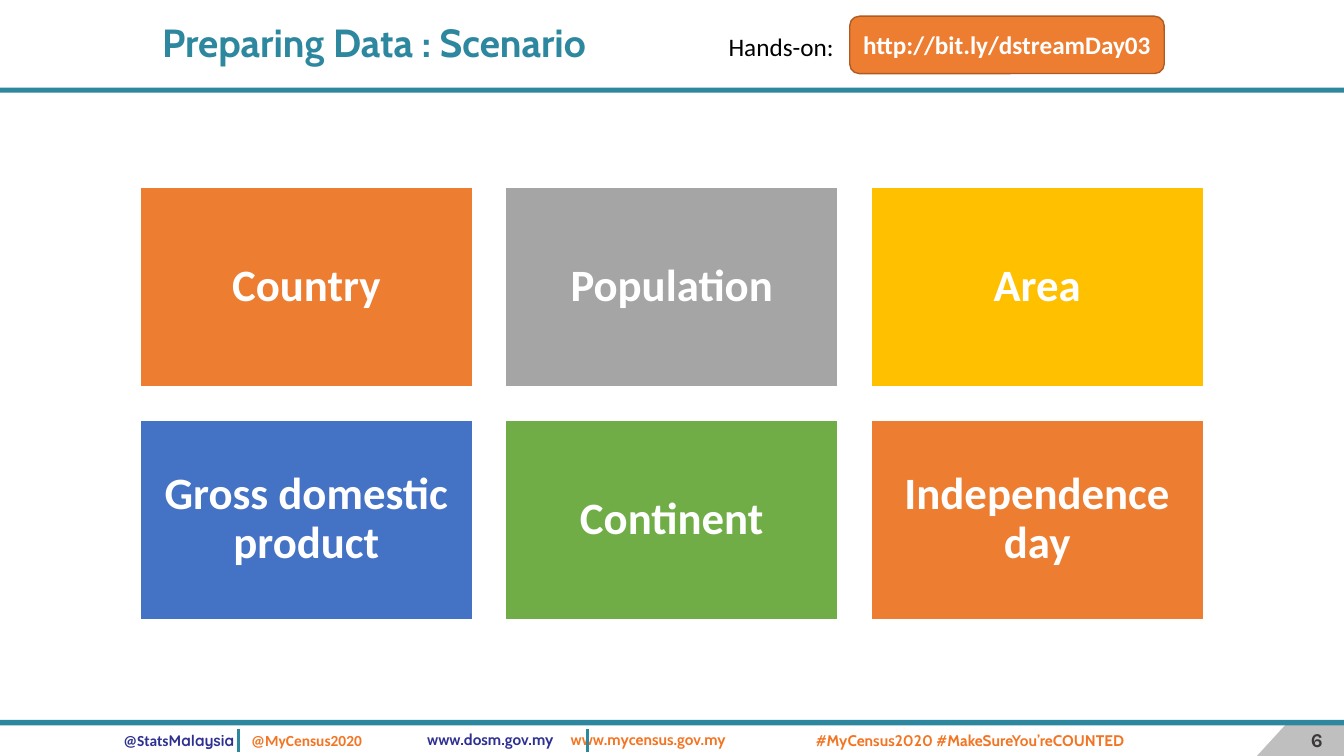
from dataclasses import dataclass
from typing import Any, NamedTuple

from lxml import etree
from pptx import Presentation
from pptx.dml.color import RGBColor
from pptx.enum.shapes import MSO_CONNECTOR, MSO_SHAPE
from pptx.enum.text import MSO_ANCHOR, PP_ALIGN
from pptx.oxml.ns import qn
from pptx.util import Pt

RECT = MSO_SHAPE.RECTANGLE
ROUNDED = MSO_SHAPE.ROUNDED_RECTANGLE
STRAIGHT = MSO_CONNECTOR.STRAIGHT
TOP, MIDDLE = MSO_ANCHOR.TOP, MSO_ANCHOR.MIDDLE
LEFT, CENTER = PP_ALIGN.LEFT, PP_ALIGN.CENTER


@dataclass(frozen=True)
class Theme:
    teal: str = "2D879E"
    navy: str = "2E3192"
    tag: str = "F37523"
    orange: str = "ED7D31"
    rust: str = "AF5C24"
    grey: str = "A5A5A5"
    gold: str = "FFC000"
    blue: str = "4472C4"
    green: str = "70AD47"
    corner: str = "C0BFBF"
    ink: str = "3B3838"
    black: str = "000000"
    white: str = "FFFFFF"
    body: str = "Calibri"
    heading: str = "Cabin"
    rounded: str = "Quicksand"
    number: str = "Karla"
    title_size: float = 28
    card_size: float = 32
    label_size: float = 18
    footer_size: float = 11
    number_size: float = 14


class Box(NamedTuple):
    x: float
    y: float
    w: float
    h: float


class Span(NamedTuple):
    text: str
    font: str
    color: str


class Card(NamedTuple):
    text: str
    fill: str


class FooterPair(NamedTuple):
    box: Box
    tab: float
    spans: list[Span]


T = Theme()
SLIDE_W, SLIDE_H = 960, 540
COLUMNS = 3
CARD_W, CARD_H, CARD_GAP = 237.6, 142.56, 23.4
CARDS_X, CARDS_Y = 100.08, 133.92
CARDS = [
    Card("Country", T.orange),
    Card("Population", T.grey),
    Card("Area", T.gold),
    Card("Gross domestic product", T.blue),
    Card("Continent", T.green),
    Card("Independence day", T.orange),
]
BARS = [Box(0, 62.64, SLIDE_W, 3.6), Box(0, 514.2, SLIDE_W, 4)]
FOOTER_PAIRS = [
    FooterPair(Box(81, 516.24, 230, 27.36), 91.4, [
        Span("@Stats", T.body, T.navy),
        Span("Malaysia\t", T.rounded, T.navy),
        Span("@MyCensus2020", T.body, T.tag),
    ]),
    FooterPair(Box(298, 520.5, 341.3, 16.6), 102.5, [
        Span("www.dosm.gov.my\t", T.heading, T.navy),
        Span("www.mycensus.gov.my", T.heading, T.tag),
    ]),
]
DIVIDERS_X = [170.64, 419.76]


def rgb(color: str) -> RGBColor:
    return RGBColor.from_string(color)


def paint(sp: Any, fill: str, line: str | None = None) -> None:
    sp.shadow.inherit = False
    sp.fill.solid()
    sp.fill.fore_color.rgb = rgb(fill)
    if line:
        sp.line.color.rgb = rgb(line)
        sp.line.width = Pt(1)
    else:
        sp.line.fill.background()


def add_box(s: Any, kind: Any, box: Box, fill: str, line: str | None = None) -> Any:
    sp = s.shapes.add_shape(kind, *map(Pt, box))
    paint(sp, fill, line)
    return sp


def add_textbox(s: Any, box: Box) -> Any:
    return s.shapes.add_textbox(*map(Pt, box))


def write(sp: Any, text: str | list[Span], *, size: float, font: str = T.body,
          color: str = T.white, bold: bool = True, align: Any = CENTER,
          anchor: Any = MIDDLE, spacing: float = 1, inset: float = 7.2,
          inset_y: float = 3.6, tab: float | None = None) -> None:
    tf = sp.text_frame
    tf.word_wrap = True
    tf.vertical_anchor = anchor
    tf.margin_left = tf.margin_right = Pt(inset)
    tf.margin_top = tf.margin_bottom = Pt(inset_y)
    p = tf.paragraphs[0]
    p.alignment = align
    p.line_spacing = spacing
    if tab is not None:
        tabs = etree.SubElement(p._p.get_or_add_pPr(), qn("a:tabLst"))
        etree.SubElement(tabs, qn("a:tab"), pos=str(int(Pt(tab))), algn="l")
    spans = [Span(text, font, color)] if isinstance(text, str) else text
    for span in spans:
        r = p.add_run()
        r.text = span.text
        r.font.name = span.font
        r.font.size = Pt(size)
        r.font.bold = bold
        r.font.color.rgb = rgb(span.color)


def add_divider(s: Any, x: float) -> None:
    line = s.shapes.add_connector(STRAIGHT, Pt(x), Pt(536.8), Pt(x), Pt(521))
    line.line.color.rgb = rgb(T.teal)
    line.line.width = Pt(2.25)
    etree.SubElement(line._element.spPr, qn("a:effectLst"))


def add_corner(s: Any) -> None:
    fb = s.shapes.build_freeform(Pt(920.2), Pt(515.6))
    fb.add_line_segments([(Pt(x), Pt(y)) for x, y in
                          [(897.8, SLIDE_H), (SLIDE_W, SLIDE_H), (SLIDE_W, 515.6)]])
    paint(fb.convert_to_shape(), T.corner)


def add_footer(s: Any) -> None:
    for pair in FOOTER_PAIRS:
        write(add_textbox(s, pair.box), pair.spans, size=T.footer_size, align=LEFT,
              spacing=0.9, tab=pair.tab)
    for x in DIVIDERS_X:
        add_divider(s, x)
    write(add_textbox(s, Box(488.16, 518.4, 409.7, 20.9)),
          "#MyCensus2020 #MakeSureYou’reCOUNTED", size=T.footer_size,
          font=T.heading, color=T.tag, anchor=TOP)
    write(add_textbox(s, Box(924.5, 516.24, 32.4, 24.5)), "6", size=T.number_size,
          font=T.number, color=T.ink)


def add_header(s: Any) -> None:
    write(add_textbox(s, Box(108.72, 7.2, 740.9, 49.7)), "Preparing Data : Scenario",
          size=T.title_size, font=T.heading, color=T.teal, align=LEFT, spacing=0.9)
    write(add_textbox(s, Box(513.36, 19, 93.6, 28.8)), "Hands-on:",
          size=T.label_size, color=T.black, bold=False, align=LEFT, anchor=TOP)
    button = add_box(s, ROUNDED, Box(606.96, 11.6, 224.64, 41), T.orange, T.rust)
    write(button, "http://bit.ly/dstreamDay03", size=T.label_size)


def add_cards(s: Any) -> None:
    for i, card in enumerate(CARDS):
        row, col = divmod(i, COLUMNS)
        box = Box(CARDS_X + col * (CARD_W + CARD_GAP),
                  CARDS_Y + row * (CARD_H + CARD_GAP), CARD_W, CARD_H)
        write(add_box(s, RECT, box, card.fill, T.white), card.text,
              size=T.card_size, spacing=0.9, inset=9.6, inset_y=9.6)


def main() -> None:
    prs = Presentation()
    prs.slide_width, prs.slide_height = Pt(SLIDE_W), Pt(SLIDE_H)
    s = prs.slides.add_slide(prs.slide_layouts[6])
    add_corner(s)
    for bar in BARS:
        add_box(s, RECT, bar, T.teal)
    add_footer(s)
    add_header(s)
    add_cards(s)
    prs.save("out.pptx")


if __name__ == "__main__":
    main()
